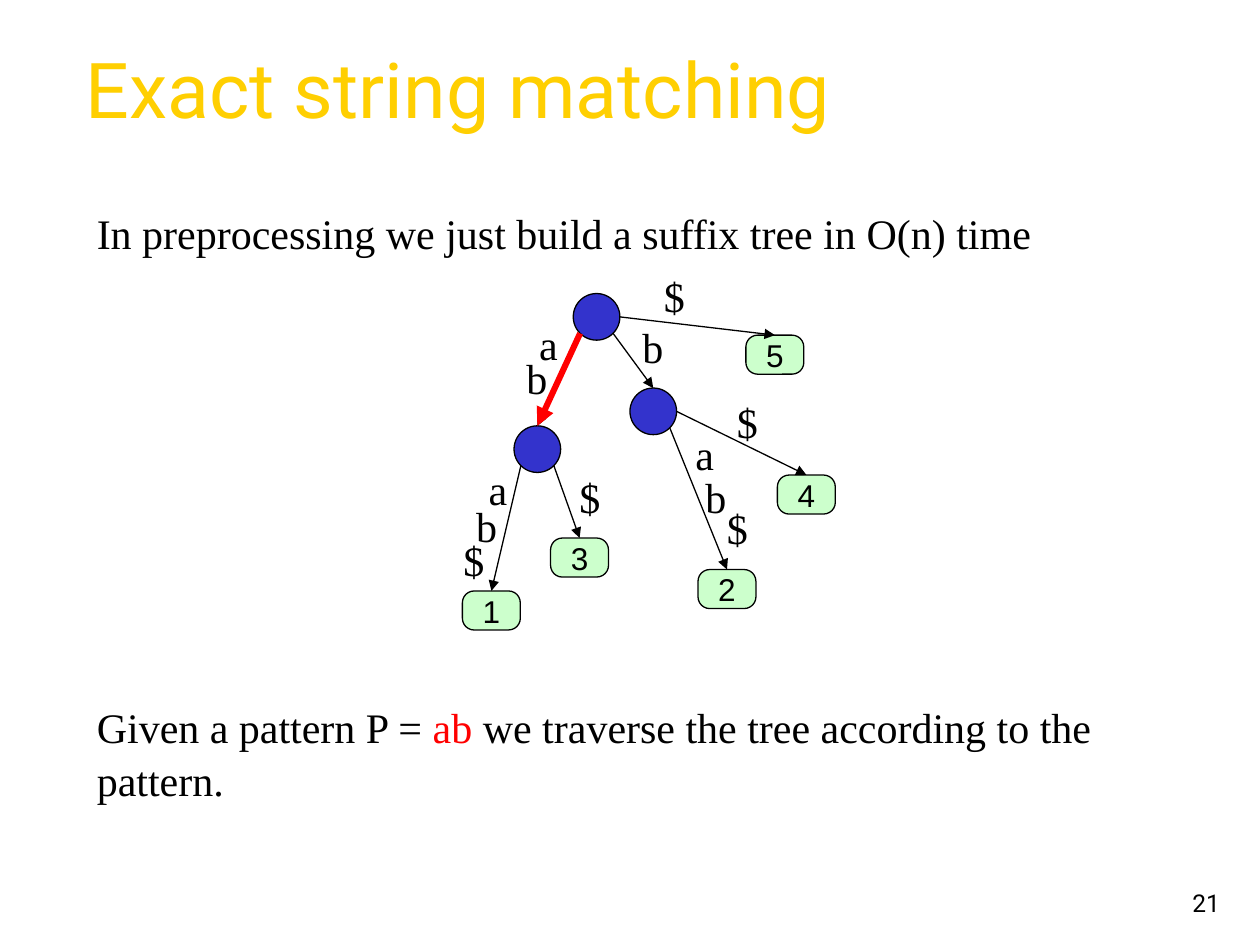
from math import cos, radians, sin

from lxml import etree
from pptx import Presentation
from pptx.dml.color import RGBColor
from pptx.enum.shapes import MSO_CONNECTOR as CONNECTOR, MSO_SHAPE as SHAPE
from pptx.enum.text import MSO_ANCHOR as ANCHOR, MSO_AUTO_SIZE as AUTO_SIZE, PP_ALIGN as ALIGN
from pptx.oxml.ns import qn
from pptx.util import Inches, Pt

NODE_SIZE = 0.37
LEAF_WIDTH, LEAF_HEIGHT = 0.46, 0.31
RIGHT, LOWER_RIGHT, LOWER_LEFT = 0, 45, 135
BLACK, RED = "000000", "FF0000"


def color(value):
    return RGBColor.from_string(value)


class SuffixTreeSlide:
    """Holds the text styles and the slide being drawn."""

    styles = {
        "title": {"name": "Roboto", "size": Pt(44)},
        "body": {"name": "Times New Roman", "size": Pt(24)},
        "leaf": {"name": "Arial", "size": Pt(18)},
        "number": {"name": "Roboto", "size": Pt(14)},
    }

    def __init__(self, deck):
        self.slide = deck.slides.add_slide(deck.slide_layouts[5])
        self.shapes = self.slide.shapes

    def add_runs(self, frame, runs, style, align=ALIGN.LEFT):
        """Fill the first paragraph with (text, colour) runs."""
        paragraph = frame.paragraphs[0]
        paragraph.alignment = align
        for words, ink in runs:
            run = paragraph.add_run()
            run.text = words
            for key, value in self.styles[style].items():
                setattr(run.font, key, value)
            run.font.color.rgb = color(ink)
        return paragraph

    def title(self, words, left, top, width, height):
        heading = self.shapes.title
        heading.left, heading.top = Inches(left), Inches(top)
        heading.width, heading.height = Inches(width), Inches(height)
        heading.text_frame.vertical_anchor = ANCHOR.MIDDLE
        self.add_runs(heading.text_frame, [(words, "FFCF01")], "title")

    def text(self, runs, left, top, width=0.42, height=0.5):
        box = self.shapes.add_textbox(*map(Inches, (left, top, width, height)))
        frame = box.text_frame
        frame.word_wrap = True
        frame.auto_size = AUTO_SIZE.SHAPE_TO_FIT_TEXT
        self.add_runs(frame, runs, "body").line_spacing = 1.05

    def number(self, words, left, top, width, height):
        box = self.shapes.add_textbox(*map(Inches, (left, top, width, height)))
        box.text_frame.word_wrap = True
        box.text_frame.vertical_anchor = ANCHOR.BOTTOM
        self.add_runs(box.text_frame, [(words, BLACK)], "number", ALIGN.RIGHT)

    def filled(self, preset, fill, left, top, width, height):
        shape = self.shapes.add_shape(preset, *map(Inches, (left, top, width, height)))
        shape.shadow.inherit = False
        shape.fill.solid()
        shape.fill.fore_color.rgb = color(fill)
        shape.line.color.rgb = color(BLACK)
        shape.line.width = Pt(0.75)
        return shape

    def node(self, left, top):
        return self.filled(SHAPE.OVAL, "3333CC", left, top, NODE_SIZE, NODE_SIZE)

    def leaf(self, words, left, top):
        leaf = self.filled(SHAPE.ROUNDED_RECTANGLE, "CCFFCC", left, top, LEAF_WIDTH, LEAF_HEIGHT)
        leaf.adjustments[0] = 0.3
        leaf.text_frame.word_wrap = False
        leaf.text_frame.vertical_anchor = ANCHOR.MIDDLE
        self.add_runs(leaf.text_frame, [(words, BLACK)], "leaf", ALIGN.CENTER)
        return leaf

    def edge(self, parent, angle, child, ink=BLACK, width=0.75):
        """Draw an arrow from the parent's rim, at a clockwise angle, to the child's top."""
        radius = parent.width / 2
        x = round(parent.left + radius * (1 + cos(radians(angle))))
        y = round(parent.top + radius * (1 + sin(radians(angle))))
        arrow = self.shapes.add_connector(CONNECTOR.STRAIGHT, x, y, x, y)
        arrow.end_connect(child, 0)
        arrow.line.color.rgb = color(ink)
        arrow.line.width = Pt(width)
        properties = arrow._element.spPr
        etree.SubElement(properties.find(qn("a:ln")), qn("a:tailEnd"), type="triangle")
        etree.SubElement(properties, qn("a:effectLst"))


def main():
    deck = Presentation()
    deck.slide_width, deck.slide_height = Inches(10), Inches(7.5)
    page = SuffixTreeSlide(deck)

    page.title("Exact string matching", 0.58, 0.23, 9.08, 0.93)
    page.text([("In preprocessing we just build a suffix tree in O(n) time", BLACK)],
              0.67, 1.58, 8.5)

    root = page.node(4.55, 2.33)
    ab_node = page.node(4.08, 3.38)
    b_node = page.node(5, 3.08)
    leaf_places = {"1": (3.67, 4.69), "2": (5.54, 4.52), "3": (4.37, 4.27),
                   "4": (6.17, 3.77), "5": (5.92, 2.66)}
    leaves = {name: page.leaf(name, *place) for name, place in leaf_places.items()}

    edges = [
        (root, LOWER_LEFT, ab_node), (root, LOWER_RIGHT, b_node), (root, RIGHT, leaves["5"]),
        (ab_node, LOWER_LEFT, leaves["1"]), (ab_node, LOWER_RIGHT, leaves["3"]),
        (b_node, LOWER_RIGHT, leaves["2"]), (b_node, RIGHT, leaves["4"]),
    ]
    for parent, angle, child in edges:
        page.edge(parent, angle, child)

    edge_letters = [
        ("a", 4.18, 2.46), ("b", 4.08, 2.73),
        ("a", 3.78, 3.61), ("b", 3.68, 3.9), ("$", 3.58, 4.17),
        ("a", 5.42, 3.33), ("b", 5.5, 3.67), ("$", 5.67, 3.92),
        ("b", 5, 2.48), ("$", 4.5, 3.67), ("$", 5.75, 3.08), ("$", 5.17, 2.08),
    ]
    for letter, left, top in edge_letters:
        page.text([(letter, BLACK)], left, top)

    page.text([("Given a pattern P = ", BLACK), ("ab ", RED),
               ("we traverse the tree according to the pattern.", BLACK)],
              0.67, 5.5, 8.5, 0.9)
    page.edge(root, LOWER_LEFT, ab_node, RED, 3.5)
    page.number("21", 7.7, 6.83, 2.08, 0.5)

    deck.save("out.pptx")


if __name__ == "__main__":
    main()
